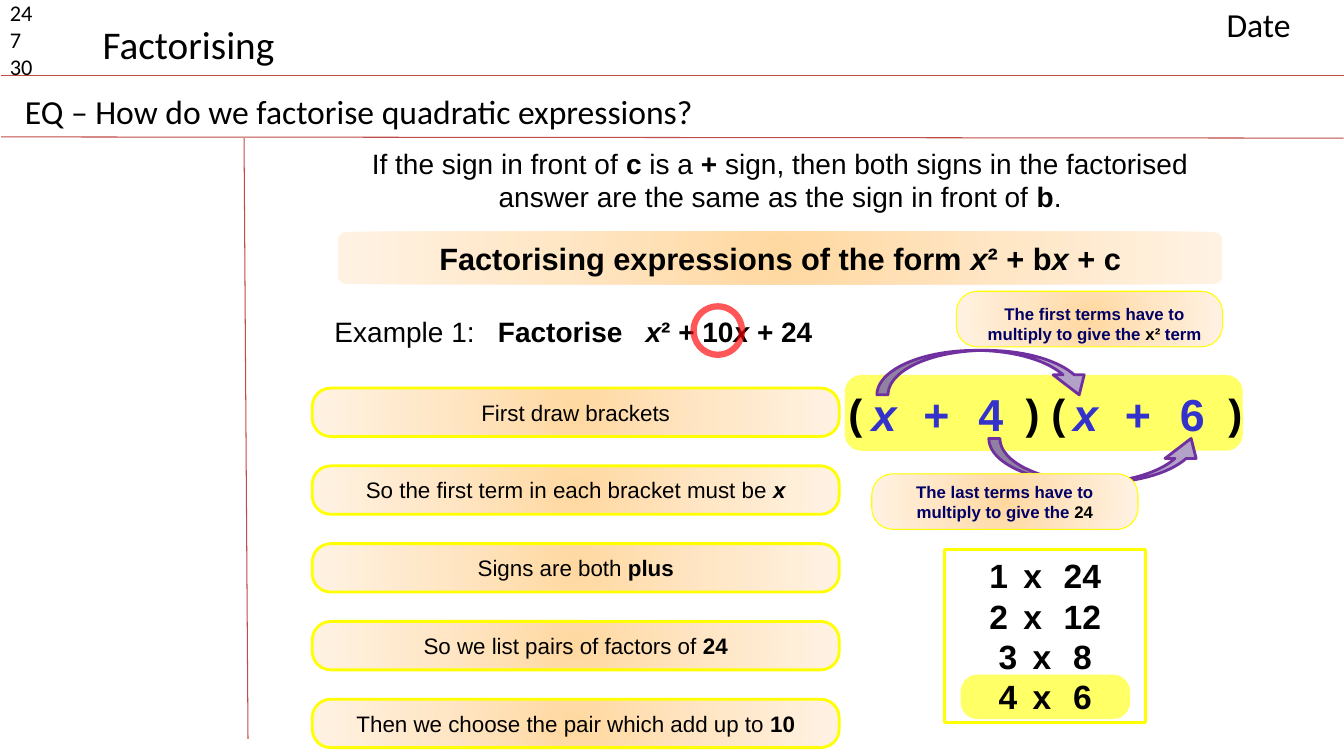
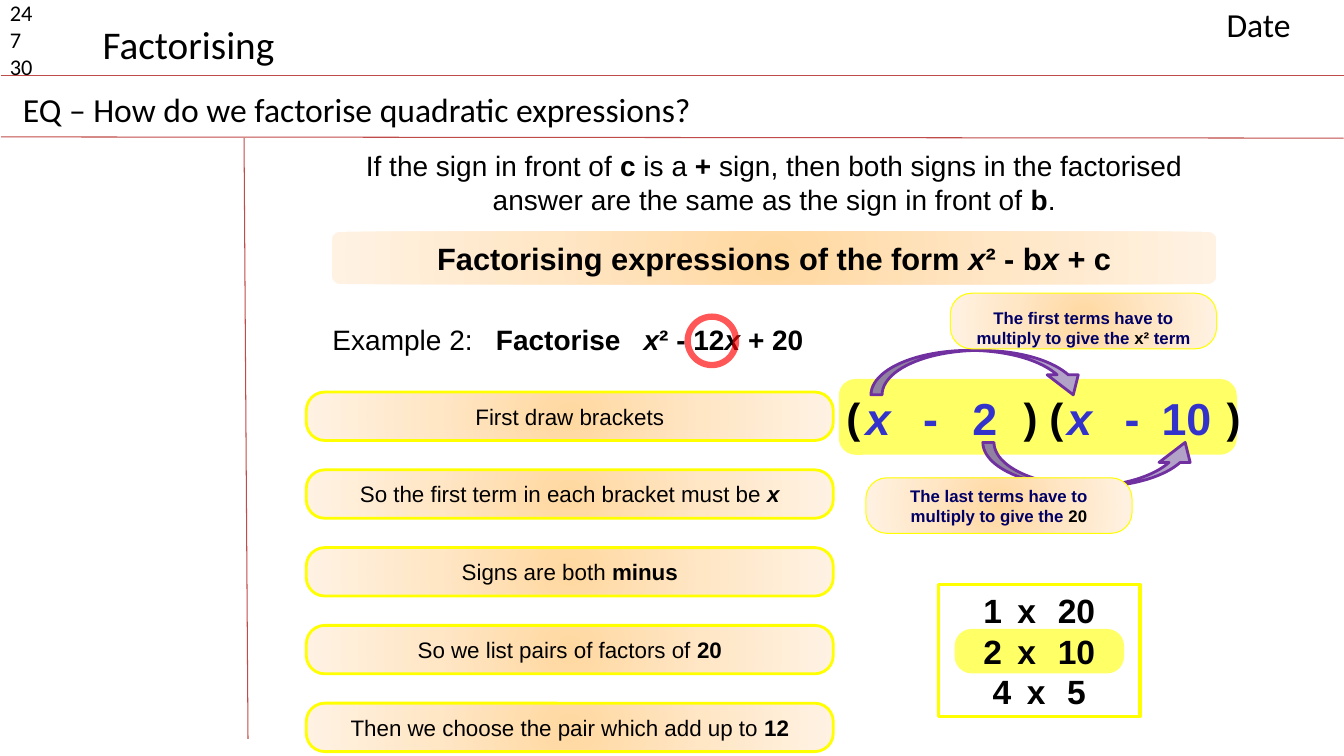
from lxml.etree import SubElement
from pptx import Presentation
from pptx.dml.color import RGBColor
from pptx.enum.shapes import MSO_CONNECTOR, MSO_SHAPE
from pptx.enum.text import MSO_ANCHOR, PP_ALIGN
from pptx.oxml import parse_xml
from pptx.oxml.ns import nsdecls, qn
from pptx.util import Cm, Pt

COLOURS = {
    "text": "000000",
    "rule": "BF4C48",
    "highlight": "FFFF66",
    "outline": "FFFF00",
    "answer": "3333CC",
    "hint": "000066",
    "arrow": "B3A2C7",
    "arrow_line": "7030A0",
    "ring": "FF0000",
}
GLOW = ((0, "FFD8A0"), (50, "FFE6C5"), (100, "FFF2E3"))

BOLD = {"bold": True}
ITALIC = {"bold": True, "italic": True}
BLACK = {"colour": "text"}
NOTEBOOK = {"name": "Calibri", "colour": "text"}
LESSON = {"name": "Arial", "colour": "text"}
HINT = LESSON | {"size": Pt(12), "bold": True, "colour": "hint"}
X = ("x", ITALIC)


def rgb(name):
    return RGBColor.from_string(COLOURS[name])


class Board:
    """Holds the style and the slide being filled; lengths are in centimetres."""

    def __init__(self):
        self.presentation = Presentation()
        self.presentation.slide_width = Cm(33.87)
        self.presentation.slide_height = Cm(19.05)
        self.slide = None
        self.shift = 0

    def new_slide(self, shift):
        """Start a slide whose worked example is moved sideways by shift."""
        self.slide = self.presentation.slides.add_slide(self.presentation.slide_layouts[6])
        self.shift = shift

    def rule(self, *ends):
        line = self.slide.shapes.add_connector(MSO_CONNECTOR.STRAIGHT, *map(Cm, ends))
        line.line.color.rgb = rgb("rule")
        line.line.width = Pt(0.75)
        SubElement(line._element.spPr, qn("a:effectLst"))

    def add_words(self, shape, paragraphs, style, align=PP_ALIGN.CENTER, tabs=()):
        """Fill a shape; each paragraph is a list of strings or (text, format) pairs."""
        frame = shape.text_frame
        frame.word_wrap = True
        for index, runs in enumerate(paragraphs):
            paragraph = frame.paragraphs[0] if index == 0 else frame.add_paragraph()
            paragraph.alignment = align
            if tabs:
                tab_list = SubElement(paragraph._p.get_or_add_pPr(), qn("a:tabLst"))
                for position in tabs:
                    SubElement(tab_list, qn("a:tab"), pos=str(Cm(position)), algn="l")
            for part in runs:
                text, extra = (part, {}) if isinstance(part, str) else part
                run = paragraph.add_run()
                run.text = text
                values = style | extra
                run.font.color.rgb = rgb(values.pop("colour"))
                spacing = values.pop("spacing", None)
                if spacing:
                    run._r.get_or_add_rPr().set("spc", str(spacing))
                for key, value in values.items():
                    setattr(run.font, key, value)

    def text(self, box, paragraphs, style, align=PP_ALIGN.CENTER, tabs=()):
        left, top, width, height = box
        shape = self.slide.shapes.add_textbox(
            Cm(left + self.shift), Cm(top), Cm(width), Cm(height))
        self.add_words(shape, paragraphs, style, align, tabs)

    def shape(self, kind, box, fill=None, line=None, weight=0, adjustments=()):
        left, top, width, height = box
        shape = self.slide.shapes.add_shape(
            kind, Cm(left + self.shift), Cm(top), Cm(width), Cm(height))
        shape.shadow.inherit = False
        for index, value in enumerate(adjustments):
            shape.adjustments[index] = value
        if fill == "glow":
            self.glow(shape)
        elif fill:
            shape.fill.solid()
            shape.fill.fore_color.rgb = rgb(fill)
        else:
            shape.fill.background()
        if line:
            shape.line.color.rgb = rgb(line)
            shape.line.width = Pt(weight)
        else:
            shape.line.fill.background()
        return shape

    def glow(self, shape):
        """Fill with a gradient that spreads from the centre."""
        stops = "".join(
            f'<a:gs pos="{position * 1000}"><a:srgbClr val="{colour}"/></a:gs>'
            for position, colour in GLOW)
        gradient = parse_xml(
            f'<a:gradFill {nsdecls("a")} rotWithShape="1"><a:gsLst>{stops}</a:gsLst>'
            '<a:path path="circle"><a:fillToRect l="50000" t="50000" r="50000" b="50000"/>'
            '</a:path></a:gradFill>')
        shape._element.spPr.find(qn("a:prstGeom")).addnext(gradient)

    def highlight(self, box, rounding):
        self.shape(MSO_SHAPE.ROUNDED_RECTANGLE, box, "highlight", adjustments=[rounding])

    def banner(self, box, runs):
        shape = self.shape(MSO_SHAPE.ROUNDED_RECTANGLE, box, "glow")
        self.add_words(shape, [runs], LESSON | BOLD | {"size": Pt(22)})

    def step(self, box, runs):
        shape = self.shape(MSO_SHAPE.ROUNDED_RECTANGLE, box, "glow", "outline", 2, [0.38])
        self.add_words(shape, [runs], LESSON | {"size": Pt(16)})

    def callout(self, left, top, runs, nudge=(0, 0)):
        """Draw a hint; nudge moves its text right and down inside the shape."""
        shape = self.shape(MSO_SHAPE.ROUNDED_RECTANGLE, (left, top, 6.71, 1.4),
                           "glow", "outline", 0.75, [0.38])
        right, down = nudge
        margins = {"margin_left": 0.35 + right, "margin_right": 0.35 - right,
                   "margin_top": down, "margin_bottom": -down}
        for key, value in margins.items():
            setattr(shape.text_frame, key, Cm(value))
        shape.text_frame.vertical_anchor = MSO_ANCHOR.MIDDLE
        self.add_words(shape, [runs], HINT)

    def arrow(self, left, top, flipped=False):
        shape = self.shape(MSO_SHAPE.CURVED_DOWN_ARROW, (left, top, 5.49, 1.12),
                           "arrow", "arrow_line", 2, [0.25, 0.7, 0.45])
        if flipped:
            shape._element.spPr.find(qn("a:xfrm")).set("flipV", "1")

    def ring(self, left, top):
        shape = self.shape(MSO_SHAPE.OVAL, (left, top, 1.22, 1.22), None, "ring", 4.5)
        colour = shape.line._ln.find(".//" + qn("a:srgbClr"))
        SubElement(colour, qn("a:alpha"), val="65000")

    def page(self, question_left, question_top):
        """Draw the ruled notebook page with its headings."""
        self.rule(0.03, 1.9, 33.86, 1.9)
        self.rule(0.03, 3.45, 33.86, 3.48)
        self.rule(6.15, 3.48, 6.25, 18.62)
        headings = (
            ((0, -0.15, 1.6, 2.31), 16, ["24", "7", "30"]),
            ((30.66, -0.03, 3.2, 1.27), 24, ["Date"]),
            ((question_left, question_top, 23.95, 1.27), 24,
             ["EQ – How do we factorise quadratic expressions?"]),
            ((2.34, 0.38, 5.2, 1.45), 28, ["Factorising"]),
        )
        for (left, *rest), size, lines in headings:
            self.text((left - self.shift, *rest), [[line] for line in lines],
                      NOTEBOOK | {"size": Pt(size)}, PP_ALIGN.LEFT)

    def brackets(self, left, top, sign, numbers):
        """Put the factorised answer over its highlight."""
        self.highlight((21.29, top, 10.03, 1.91), 0.22)
        self.text((left - self.shift, top + 0.2, 11, 1.55), [["(\t) (\t)"]],
                  LESSON | BOLD | {"size": Pt(30)}, PP_ALIGN.LEFT, (4.47, 9.58))
        style = LESSON | BOLD | {"size": Pt(32), "colour": "answer"}
        width = 2.13
        for index, number in enumerate(numbers):
            for centre, term in ((22.28, X), (23.6, sign), (24.97, number)):
                term_left = centre - width / 2 + index * 5.08
                self.text((term_left, top + 0.18, width, 1.63), [[term]], style)

    def factor_pairs(self, top, pairs, chosen):
        row = 1.02
        self.highlight((24.21, top + 0.1 + pairs.index(chosen) * row, 4.27, 1.12), 0.38)
        shape = self.shape(MSO_SHAPE.RECTANGLE, (23.8, top, 5.08, 0.21 + 1.04 * len(pairs)),
                           None, "outline", 2.25)
        times = (" x ", {"spacing": 440})
        self.add_words(shape, [[str(first), times, str(second)] for first, second in pairs],
                       LESSON | BOLD | {"size": Pt(24)})


EXAMPLES = (
    {
        "number": 1, "sign": "+", "sign_name": "plus", "sum": "10", "product": "24",
        "pairs": [(1, 24), (2, 12), (3, 8), (4, 6)], "chosen": (4, 6),
        "shift": 0, "question": (0.38, 2.16), "intro_top": 3.56,
        "example": (8.18, 7.8), "ring_top": 7.72, "hint_top": 7.34,
        "hint_nudge": (0.13, 0.11), "answer": (21.13, 9.45), "pairs_top": 13.84,
    },
    {
        "number": 2, "sign": "-", "sign_name": "minus", "sum": "12", "product": "20",
        "pairs": [(1, 20), (2, 10), (4, 5)], "chosen": (2, 10),
        "shift": -0.15, "question": (0.33, 2.11), "intro_top": 3.63,
        "example": (8.13, 8), "ring_top": 7.98, "hint_top": 7.39,
        "hint_nudge": (0, 0.17), "answer": (21.08, 9.55), "pairs_top": 14.73,
    },
)


def build_example(board, example):
    sign, total, product = example["sign"], example["sum"], example["product"]
    board.new_slide(example["shift"])
    board.page(*example["question"])

    board.banner((8.51, 5.84, 22.3, 1.32),
                 ["Factorising expressions of the form ", X, f"² {sign} b", X, " + c"])
    board.text((8.51, example["intro_top"], 22.3, 1.96), [[
        "If the sign in front of ", ("c", BOLD), " is a", (" + ", BOLD),
        "sign, then both signs in the factorised answer are the same as the sign in front of ",
        ("b", BOLD), "."]], LESSON | {"size": Pt(20)})

    left, top = example["example"]
    board.text((left - board.shift, top, 13.1, 1.12), [[
        f"Example {example['number']}:\t", ("Factorise\t", BOLD), X,
        (f"² {sign} {total}", BOLD), X, (f" + {product}", BOLD)]],
        LESSON | {"size": Pt(20)}, PP_ALIGN.LEFT, (4.12, 7.84))

    answer_left, answer_top = example["answer"]
    board.brackets(answer_left, answer_top, sign, [str(part) for part in example["chosen"]])
    steps = (
        ["First draw brackets"],
        ["So the first term in each bracket must be ", X],
        ["Signs are both ", (example["sign_name"], BOLD)],
        ["So we list pairs of factors of ", (product, BOLD)],
        ["Then we choose the pair which add up to ", (total, BOLD)],
    )
    for index, runs in enumerate(steps):
        board.step((7.87, answer_top + 0.33 + index * 1.96, 13.28, 1.22), runs)

    board.factor_pairs(example["pairs_top"], example["pairs"], example["chosen"])
    board.arrow(22.1, 8.83)
    board.callout(24.1, example["hint_top"], [
        "The first terms have to multiply to give the ", ("x²", BLACK), " term"],
        example["hint_nudge"])
    board.arrow(24.92, answer_top + 1.6, flipped=True)
    board.callout(21.97, answer_top + 2.49, [
        "The last terms have to multiply to give the ", (product, BLACK)])
    board.ring(17.48, example["ring_top"])


def main():
    board = Board()
    for example in EXAMPLES:
        build_example(board, example)
    board.presentation.save("out.pptx")


if __name__ == "__main__":
    main()
